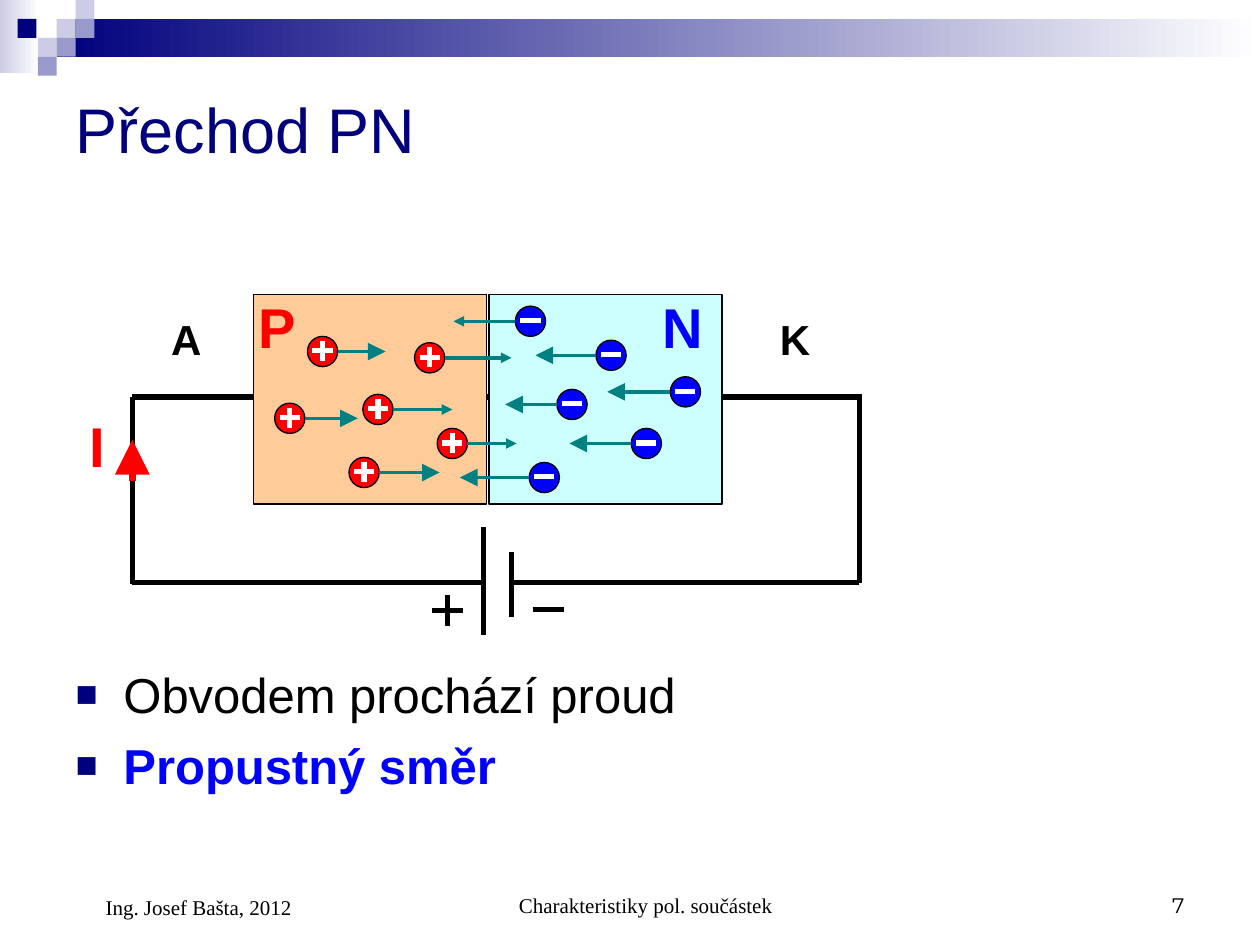
from lxml import etree
from pptx import Presentation
from pptx import util as u
from pptx.dml.color import RGBColor
from pptx.enum import shapes, text
from pptx.oxml.ns import qn

COLUMNS, ROWS = 100, 75
CELL = u.Inches(0.1)
TILE = 1.5
CHARGE = 2.4
NAVY, RED, BLUE, TEAL = "00007D", "FF0000", "0000FF", "008080"
BLACK, WHITE, PALE, LILAC = "000000", "FFFFFF", "CCCCE6", "9999CC"

# left, top, arrow tip column, arrowhead size
HOLES = [
    (24.4, 26.7, 30.6, "lg"), (21.8, 32, 28.4, "lg"), (32.9, 27.2, 40.6, "med"),
    (28.8, 31.3, 35.9, "med"), (34.7, 34, 41, "med"), (27.7, 36.3, 34.9, "lg"),
]
ELECTRONS = [
    (40.9, 24.3, 36, "med"), (47.3, 27, 42.5, "lg"), (44.2, 30.9, 40.1, "lg"),
    (42, 36.7, 36.5, "lg"), (50.1, 34, 45.2, "lg"), (53.2, 29.9, 48.2, "lg"),
]


def cells(*counts):
    """Convert grid counts to slide lengths."""
    return [round(count * CELL) for count in counts]


def color(value):
    return RGBColor.from_string(value)


def add_box(slide, box, fill, outline=None, kind=shapes.MSO_SHAPE.RECTANGLE):
    """Add a preset shape; a pair of fill colours gives a left-to-right gradient."""
    shape = slide.shapes.add_shape(kind, *cells(*box))
    shape.shadow.inherit = False
    if isinstance(fill, tuple):
        shape.fill.gradient()
        shape.fill.gradient_angle = 0
        for stop, value in zip(shape.fill.gradient_stops, fill):
            stop.color.rgb = color(value)
    else:
        shape.fill.solid()
        shape.fill.fore_color.rgb = color(fill)
    if outline:
        shape.line.color.rgb = color(outline)
        shape.line.width = u.Pt(0.75)
    else:
        shape.line.fill.background()
    return shape


def add_line(slide, start, end, value=BLACK, width=3, head=None):
    line = slide.shapes.add_connector(
        shapes.MSO_CONNECTOR.STRAIGHT, *cells(*start, *end))
    line.line.color.rgb = color(value)
    line.line.width = u.Pt(width)
    properties = line._element.spPr
    if head:
        etree.SubElement(properties.find(qn("a:ln")), qn("a:tailEnd"),
                         type="triangle", w=head, len=head)
    etree.SubElement(properties, qn("a:effectLst"))


def write(paragraph, words, size, value=BLACK, font="Arial", bold=False,
          align=text.PP_ALIGN.LEFT):
    paragraph.text = words
    paragraph.alignment = align
    paragraph.font.size = u.Pt(size)
    paragraph.font.name = font
    paragraph.font.bold = bold
    paragraph.font.color.rgb = color(value)


def add_label(slide, box, words, size, indent=0,
              anchor=text.MSO_ANCHOR.TOP, **style):
    frame = slide.shapes.add_textbox(*cells(*box)).text_frame
    frame.word_wrap = True
    frame.vertical_anchor = anchor
    paragraph = frame.paragraphs[0]
    if indent:
        paragraph._p.get_or_add_pPr().set("marL", str(cells(indent)[0]))
    write(paragraph, words, size, **style)


def place(shape, box):
    shape.left, shape.top, shape.width, shape.height = cells(*box)
    shape.text_frame.auto_size = text.MSO_AUTO_SIZE.NONE
    return shape.text_frame


def add_bullet(paragraph):
    properties = paragraph._p.get_or_add_pPr()
    indent = cells(3.8)[0]
    properties.set("marL", str(indent))
    properties.set("indent", str(-indent))
    bullet_color = etree.SubElement(properties, qn("a:buClr"))
    etree.SubElement(bullet_color, qn("a:srgbClr"), val=NAVY)
    etree.SubElement(properties, qn("a:buSzPct"), val="75000")
    etree.SubElement(properties, qn("a:buFont"), typeface="Arial")
    etree.SubElement(properties, qn("a:buChar"), char="■")


def add_header(slide):
    add_box(slide, (0, 0, 3.1, 5.8), (PALE, WHITE))
    add_box(slide, (4.5, TILE, COLUMNS - 4.5, 3), (NAVY, WHITE))
    tiles = [(3, 1, PALE), (4, 0, PALE), (4, 1, LILAC), (2, 2, PALE),
             (0.93, 1, NAVY), (3, 2, LILAC), (2, 3, LILAC)]
    for column, row, fill in tiles:
        add_box(slide, (column * TILE, row * TILE, TILE, TILE), fill)


def add_cross(slide, x, y, half, value=BLACK, plus=True):
    """Draw a minus sign centred on x, y, or a plus sign."""
    add_line(slide, (x - half, y), (x + half, y), value)
    if plus:
        add_line(slide, (x, y - half), (x, y + half), value)


def add_charge(slide, left, top, tip, head, positive):
    """Draw a charge carrier and the arrow of its motion."""
    x, y = left + CHARGE / 2, top + CHARGE / 2
    add_box(slide, (left, top, CHARGE, CHARGE), RED if positive else BLUE,
            BLACK, shapes.MSO_SHAPE.OVAL)
    add_cross(slide, x, y - 0.05, 0.8, WHITE, positive)
    start = left + CHARGE if positive else left
    add_line(slide, (start, y), (tip, y), TEAL, 2, head)


def add_circuit(slide):
    left, right, top, bottom = 10.5, 68.2, 31.5, 46.25
    plus_plate, minus_plate = 38.4, 40.6
    wires = [
        ((left, top), (right + 0.2, top)),
        ((left, top), (left, bottom + 0.1)),
        ((right, top), (right, bottom)),
        ((plus_plate, bottom), (left, bottom)),
        ((right, bottom), (minus_plate, bottom)),
        ((plus_plate, 41.8), (plus_plate, 50.4)),
        ((minus_plate, 43.8), (minus_plate, 49)),
    ]
    for start, end in wires:
        add_line(slide, start, end)
    add_cross(slide, 35.5, 48.45, 1.25)
    add_cross(slide, 43.55, 48.4, 1.25, plus=False)
    add_line(slide, (left, 38.2), (left, 34.9), RED, 4, "lg")


def add_junction(slide):
    for left, fill in [(20.1, "FFCC99"), (38.8, "CCFFFF")]:
        add_box(slide, (left, 23.4, 18.5, 16.6), fill, BLACK)
    for carriers, positive in [(HOLES, True), (ELECTRONS, False)]:
        for carrier in carriers:
            add_charge(slide, *carrier, positive)


def add_labels(slide):
    labels = [
        ("P", (19.5, 22.7, 5.8, 6.4), 32, RED),
        ("N", (51.6, 22.7, 5.8, 6.4), 32, BLUE),
        ("I", (6.1, 32.2, 3.6, 6.4), 32, RED),
        ("A", (12.6, 24.4, 4.9, 5), 24, BLACK),
        ("K", (60.9, 24.4, 4.9, 5), 24, BLACK),
    ]
    for words, box, size, value in labels:
        add_label(slide, box, words, size, value=value, bold=True)


def add_footer(slide):
    serif, top = "Times New Roman", 68.3
    footers = [
        ("Ing. Josef Bašta, 2012", (5, top, 23.3, 5.2), 2.4, serif, text.PP_ALIGN.LEFT),
        ("Charakteristiky pol. součástek", (34.2, top, 31.7, 5), 2.4, serif,
         text.PP_ALIGN.CENTER),
        ("7", (71.7, top, 23.3, 5), 0, "Montserrat", text.PP_ALIGN.RIGHT),
    ]
    for words, box, indent, font, align in footers:
        add_label(slide, box, words, 12, indent, text.MSO_ANCHOR.BOTTOM,
                  font=font, align=align)


def main():
    presentation = Presentation()
    presentation.slide_width, presentation.slide_height = cells(COLUMNS, ROWS)
    slide = presentation.slides.add_slide(presentation.slide_layouts[1])
    add_header(slide)

    title = place(slide.shapes.title, (5, 5, 90, 10.3))
    title.vertical_anchor = text.MSO_ANCHOR.MIDDLE
    write(title.paragraphs[0], "Přechod PN", 36, NAVY)

    add_circuit(slide)
    add_junction(slide)
    add_labels(slide)

    body = place(slide.placeholders[1], (5, 52.2, 90, 13.8))
    lines = [("Obvodem prochází proud", BLACK, False), ("Propustný směr", BLUE, True)]
    for index, (words, value, bold) in enumerate(lines):
        paragraph = body.add_paragraph() if index else body.paragraphs[0]
        add_bullet(paragraph)
        paragraph.space_before = u.Pt(7 if index else 0)
        write(paragraph, words, 28, value, bold=bold)

    add_footer(slide)
    presentation.save("out.pptx")


if __name__ == "__main__":
    main()
